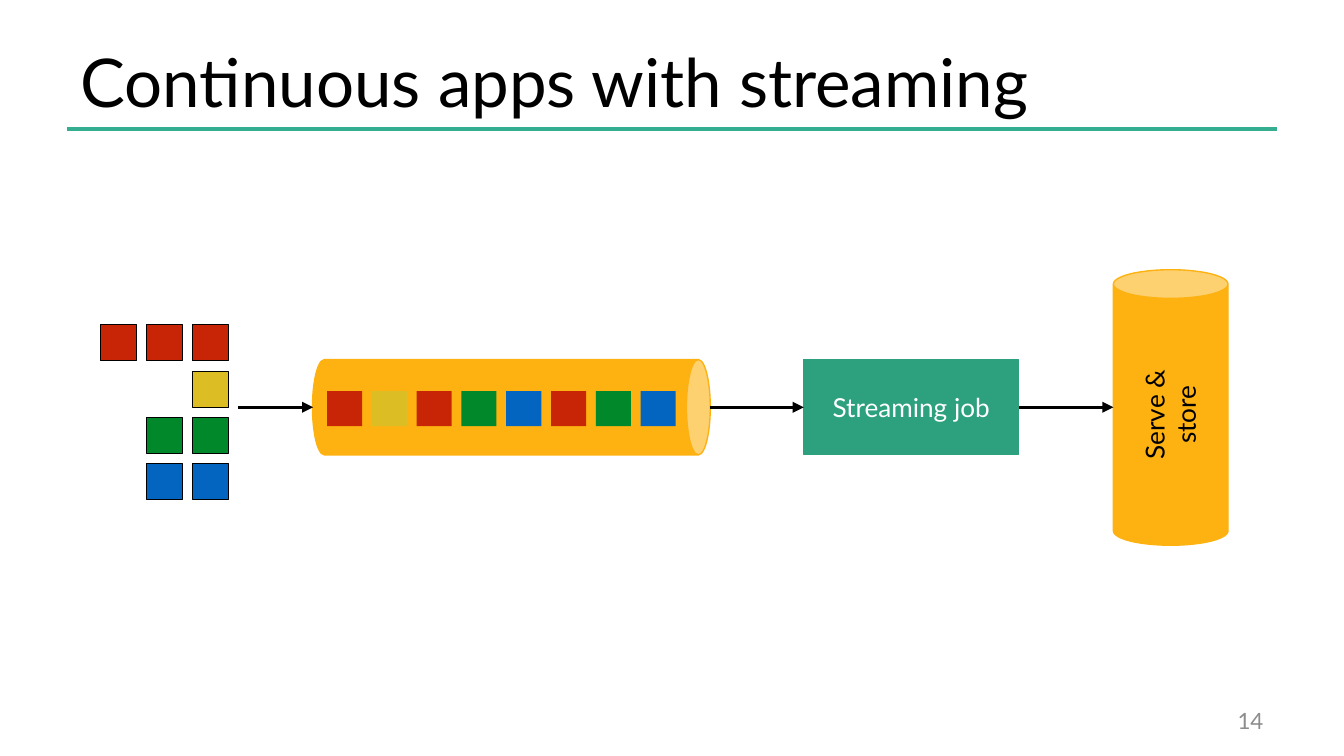
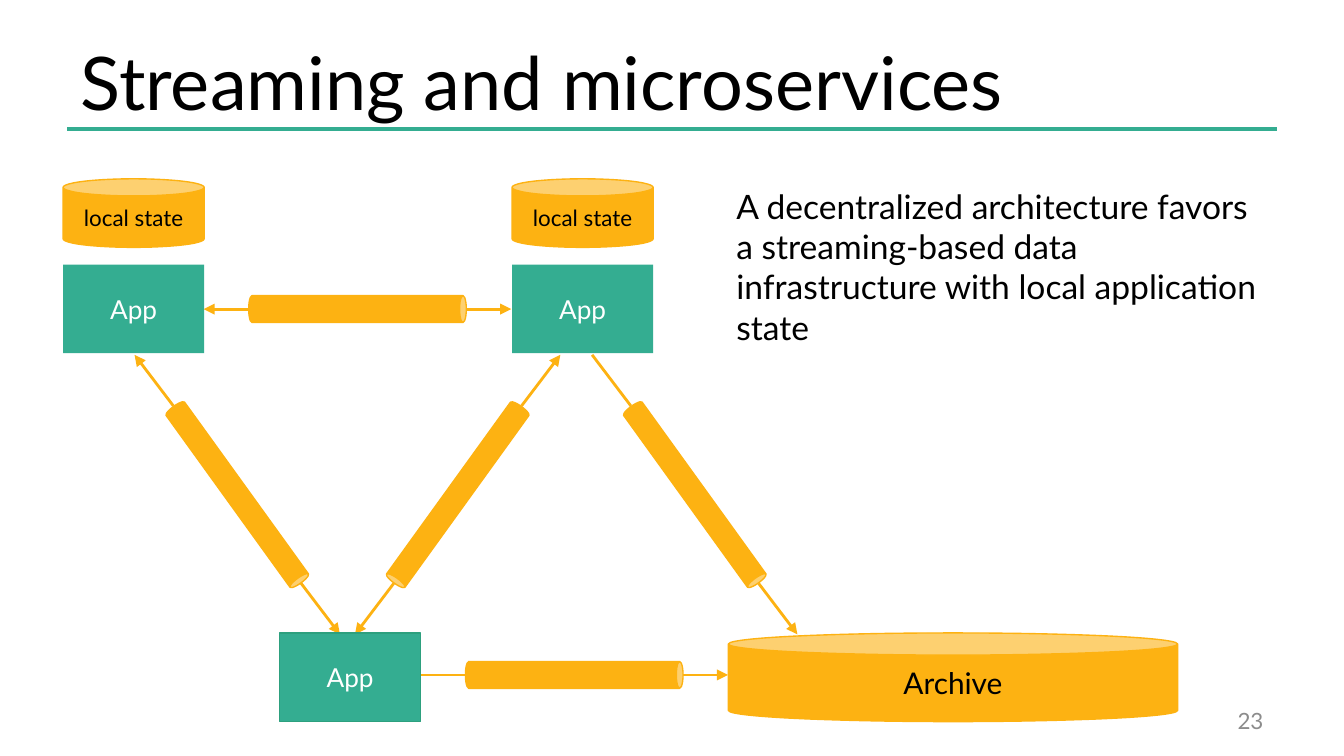
from dataclasses import dataclass
from typing import Any, NamedTuple, Optional

from lxml.etree import SubElement
from pptx import Presentation
from pptx.dml.color import RGBColor as Rgb
from pptx.enum.shapes import MSO_CONNECTOR as Conn, MSO_SHAPE as Kind
from pptx.enum.text import MSO_ANCHOR as Anchor, MSO_AUTO_SIZE as Fit, PP_ALIGN as Align
from pptx.oxml.ns import qn
from pptx.util import Pt


@dataclass(frozen=True)
class Theme:
    font: str = "Lato"
    black: str = "000000"
    white: str = "FFFFFF"
    grey: str = "8C8C8C"
    teal: str = "34AD91"
    deep: str = "2DA07E"
    amber: str = "FDB212"
    red: str = "C82506"
    gold: str = "DCBD23"
    green: str = "00882B"
    blue: str = "0365C0"
    title: float = 36
    big: float = 39.6
    body: float = 18
    store: float = 16
    label: float = 14
    small: float = 12
    hair: float = 0.5
    edge: float = 0.75
    arrow: float = 1.5
    rule: float = 2


T = Theme()


class Box(NamedTuple):
    x: float
    y: float
    w: float
    h: float


class Label(NamedTuple):
    text: str
    size: float = T.label
    color: str = T.black
    align: Align = Align.CENTER
    anchor: Anchor = Anchor.MIDDLE
    fit: Fit = Fit.NONE


@dataclass(frozen=True)
class Node:
    kind: Kind
    box: Box
    fill: str
    line: Optional[str] = None
    width: float = T.edge
    label: Optional[Label] = None
    turn: float = 0


class Point(NamedTuple):
    x: float
    y: float


class Run(NamedTuple):
    """Direction of a link: offsets of pipe end and tip from the centre."""
    end: Point
    tip: Point
    turn: float
    thick: float


@dataclass(frozen=True)
class Link:
    mid: Point
    run: Run
    both: bool = True


def assign(item: Any, values: dict[str, Any]) -> None:
    for name, value in values.items():
        setattr(item, name, value)


def write(shape: Any, label: Label) -> None:
    frame = shape.text_frame
    assign(frame, {"word_wrap": True, "auto_size": label.fit,
                   "vertical_anchor": label.anchor, "text": label.text})
    para = frame.paragraphs[0]
    para.alignment = label.align
    font = para.runs[0].font
    assign(font, {"name": T.font, "size": Pt(label.size)})
    font.color.rgb = Rgb.from_string(label.color)


def add_text(slide: Any, box: Box, label: Label, turn: float = 0) -> None:
    shape = slide.shapes.add_textbox(*map(Pt, box))
    write(shape, label)
    shape.rotation = turn


def add_node(shapes: Any, node: Node) -> None:
    shape = shapes.add_shape(node.kind, *map(Pt, node.box))
    shape.shadow.inherit = False
    shape.rotation = node.turn
    shape.fill.solid()
    shape.fill.fore_color.rgb = Rgb.from_string(node.fill)
    if node.line:
        shape.line.color.rgb = Rgb.from_string(node.line)
        shape.line.width = Pt(node.width)
    else:
        shape.line.fill.background()
    if node.label:
        write(shape, node.label)


def add_line(slide: Any, start: Point, stop: Point, color: str,
             width: float = T.arrow, head: bool = True) -> None:
    line = slide.shapes.add_connector(Conn.STRAIGHT, *map(Pt, (*start, *stop)))
    line.line.color.rgb = Rgb.from_string(color)
    line.line.width = Pt(width)
    props = line.element.spPr
    if head:
        SubElement(props.find(qn("a:ln")), qn("a:tailEnd"), type="triangle")
    SubElement(props, qn("a:effectLst"))


def can(box: Box, label: Optional[Label] = None, turn: float = 0) -> Node:
    return Node(Kind.CAN, box, T.amber, T.amber, label=label, turn=turn)


def app(x: float, y: float, line: Optional[str] = None) -> Node:
    return Node(Kind.RECTANGLE, Box(x, y, 75.6, 47.5), T.teal, line,
                label=Label("App", color=T.white))


def tile(x: float, y: float, size: float, fill: str,
         line: Optional[str] = None) -> Node:
    return Node(Kind.RECTANGLE, Box(x, y, size, size), fill, line, T.hair)


def add_link(slide: Any, link: Link) -> None:
    """Draw a pipe with a stub at each end; the last end always has a head."""
    (x, y), run, length = link.mid, link.run, 116.6
    box = Box(x - run.thick / 2, y - length / 2, run.thick, length)
    add_node(slide.shapes, can(box, turn=run.turn))
    for side, head in ((-1, link.both), (1, True)):
        end, tip = (Point(x + side * p.x, y + side * p.y)
                    for p in (run.end, run.tip))
        add_line(slide, end, tip, T.amber, head=head)


def add_slide(deck: Any, title: str, size: float, number: int) -> Any:
    slide = deck.slides.add_slide(deck.slide_layouts[5])
    add_line(slide, Point(36, 69.1), Point(684, 69.1), T.teal, T.rule, False)
    head = slide.shapes.title
    assign(head, dict(zip(("left", "top", "width", "height"),
                          map(Pt, (36, 16.6, 588.2, 53.3)))))
    write(head, Label(title, size, align=Align.LEFT))
    add_text(slide, Box(516.2, 375.1, 167.8, 21.6),
             Label(str(number), T.small, T.grey, Align.RIGHT))
    return slide


def draw_apps(deck: Any) -> None:
    slide = add_slide(deck, "Continuous apps with streaming", T.title, 14)
    group = slide.shapes.add_group_shape()
    pile = ((T.red, 3), (T.gold, 1), (T.green, 2), (T.blue, 2))
    for row, (fill, count) in enumerate(pile):
        for col in range(3 - count, 3):
            add_node(group.shapes, tile(53.8 + 24.6 * col, 174 + 24.8 * row,
                                        19.4, fill, T.black))

    add_node(slide.shapes, can(Box(248.4, 111.6, 51.1, 213.1), turn=90))
    queue = (T.red, T.gold, T.red, T.green, T.blue, T.red, T.green, T.blue)
    for col, fill in enumerate(queue):
        add_node(slide.shapes, tile(175.2 + 24 * col, 209.5, 18.8, fill))

    add_node(slide.shapes, Node(
        Kind.RECTANGLE, Box(430.6, 192.6, 115.2, 51), T.deep, T.deep,
        label=Label("Streaming job", color=T.white)))
    add_node(slide.shapes, can(Box(596.5, 144.5, 61.4, 147.6)))
    add_text(slide, Box(581.8, 201.6, 90, 41),
             Label("Serve & store", anchor=Anchor.TOP, fit=Fit.SHAPE_TO_FIT_TEXT),
             turn=270)
    for left, right in ((127.4, 167.8), (380.2, 430.6), (545.8, 596.5)):
        add_line(slide, Point(left, 218.2), Point(right, 218.2), T.black)


def draw_services(deck: Any) -> None:
    slide = add_slide(deck, "Streaming and microservices", T.big, 23)
    flat = Run(Point(58.3, 0), Point(82.4, 0), 90, 14.4)
    down = Run(Point(34.2, 47.5), Point(55, 74.9), 144.2, 12.2)
    back = Run(Point(-34.2, 47.5), Point(-55, 74.9), 215.8, 12.2)
    links = (Link(Point(191.5, 165.6), flat),
             Link(Point(127.1, 265), down),
             Link(Point(245.2, 265), back),
             Link(Point(372.2, 265), down, both=False),
             Link(Point(307.6, 361.6), flat, both=False))
    for link in links:
        add_link(slide, link)

    for x in (33.8, 274.3):
        add_node(slide.shapes, app(x, 141.8))
        add_node(slide.shapes, can(Box(x, 95.8, 75.6, 36.7),
                                   Label("local state", T.small)))
    add_node(slide.shapes, app(149.8, 339.1, T.deep))
    add_node(slide.shapes, can(Box(390.2, 339.1, 240.7, 47.5),
                               Label("Archive", T.store)))
    add_text(slide, Box(387.4, 95.8, 296.6, 94.3), Label(
        "A decentralized architecture favors a streaming-based data "
        "infrastructure with local application state",
        T.body, align=Align.LEFT, anchor=Anchor.TOP, fit=Fit.SHAPE_TO_FIT_TEXT))


def main() -> None:
    deck = Presentation()
    assign(deck, {"slide_width": Pt(720), "slide_height": Pt(405)})
    draw_apps(deck)
    draw_services(deck)
    deck.save("out.pptx")


if __name__ == "__main__":
    main()
